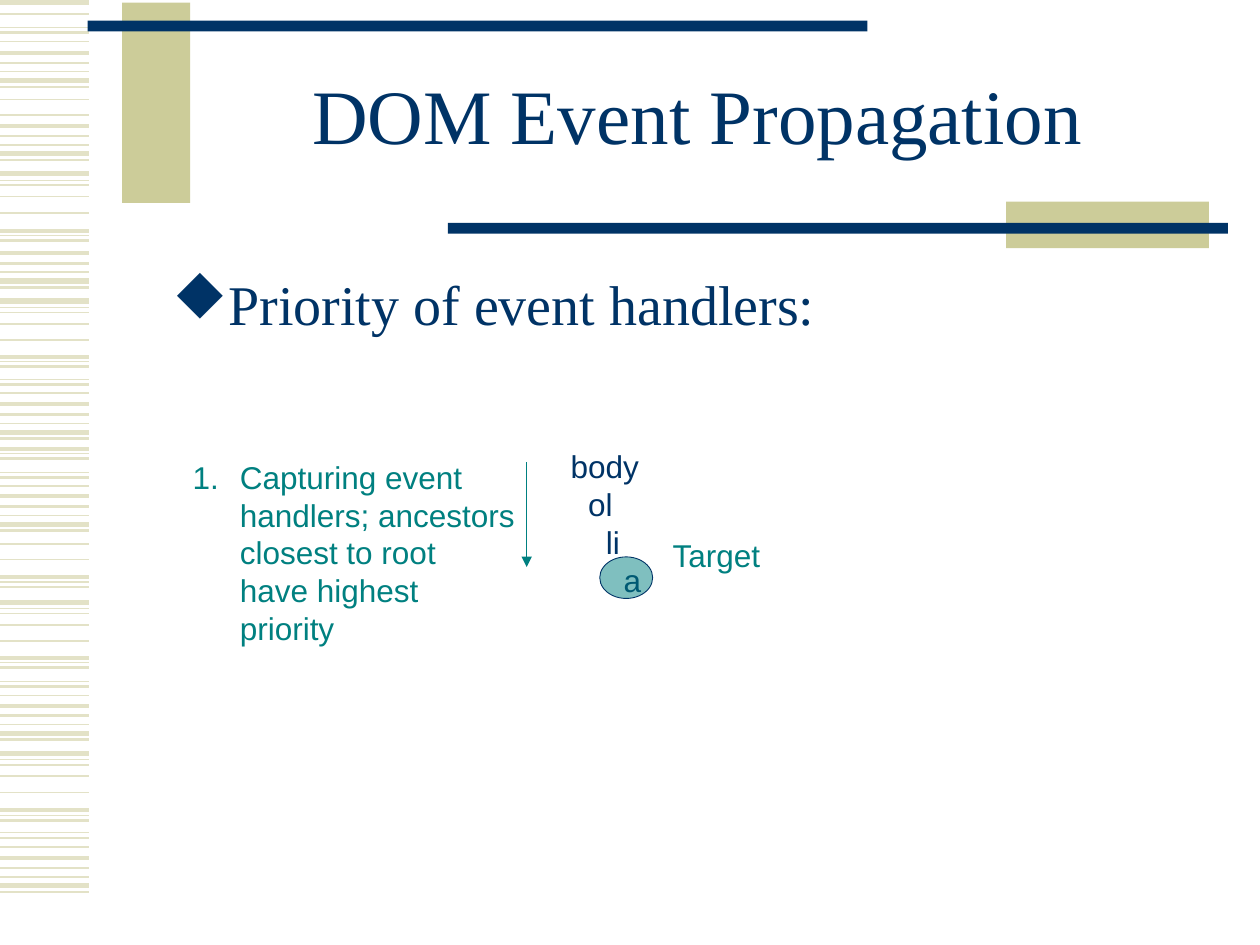
from typing import NamedTuple

from lxml.etree import SubElement
from pptx import Presentation
from pptx.dml.color import RGBColor
from pptx.enum.shapes import MSO_CONNECTOR as Connector, MSO_SHAPE as Shape
from pptx.enum.text import MSO_ANCHOR as Anchor, MSO_AUTO_SIZE as AutoSize, PP_ALIGN as Align
from pptx.oxml.ns import qn
from pptx.util import Inches, Pt

NAVY = RGBColor(0x00, 0x33, 0x66)
TEAL = RGBColor(0x00, 0x80, 0x80)
KHAKI = RGBColor(0xCC, 0xCC, 0x99)
PALE_KHAKI = RGBColor(0xE3, 0xE2, 0xC7)
SERIF, SANS, SYMBOLS = "Times New Roman", "Arial", "Wingdings"
DIAMOND = "u"  # a filled diamond in the symbol font

SLIDE_WIDTH, SLIDE_HEIGHT = Inches(10), Inches(7.5)
COLUMNS, ROWS = 100, 75
STRIPE_END = 7.1
NESTING_STEP = 1.4


class Area(NamedTuple):
    """Left, top, width and height in grid columns and rows."""
    left: float
    top: float
    width: float
    height: float


class Bar(NamedTuple):
    area: Area
    color: RGBColor


class Stripe(NamedTuple):
    offset: float
    weight: float


class StripeGroup(NamedTuple):
    """Stripes repeated at several starting rows."""
    stripes: tuple[Stripe, ...]
    starts: tuple[float, ...]


STRIPE_GROUPS = (
    StripeGroup((Stripe(0, 3), Stripe(0.9, 1.5)), (0.2,)),
    StripeGroup((Stripe(0, 2.25), Stripe(0.8, 1.5), Stripe(1.5, 0.75),
                 Stripe(2.2, 3), Stripe(2.7, 1.5)),
                (4.2, 10, 20.1, 32.1, 39.4, 56, 68.1)),
    StripeGroup((Stripe(0, 3), Stripe(0.5, 0.75), Stripe(0.9, 1),
                 Stripe(1.8, 1), Stripe(3.1, 1)),
                (13.8, 23.9, 47.8, 59.8)),
    StripeGroup((Stripe(0, 2.25), Stripe(0.4, 0.75), Stripe(0.8, 1.5)),
                (18.3, 28.3, 35.6, 45.8, 52.2, 64.3)),
    StripeGroup((Stripe(0, 0.75), Stripe(0.4, 1.5), Stripe(1.1, 1)),
                (2.2, 30.1, 37.5, 54.1, 66.1)),
    StripeGroup((Stripe(0, 1), Stripe(1.2, 1)), (7.9, 43.2)),
)

BARS = (
    Bar(Area(9.7, 0.2, 5.4, 15.9), KHAKI),
    Bar(Area(6.95, 1.65, 61.9, 0.85), NAVY),
    Bar(Area(79.85, 16, 16.1, 3.7), KHAKI),
    Bar(Area(35.55, 17.7, 61.9, 0.85), NAVY),
)


def across(columns: float) -> int:
    return round(SLIDE_WIDTH * columns / COLUMNS)


def down(rows: float) -> int:
    return round(SLIDE_HEIGHT * rows / ROWS)


def place(area: Area) -> tuple[int, int, int, int]:
    return across(area.left), down(area.top), across(area.width), down(area.height)


def add_line(slide, start: tuple[float, float], end: tuple[float, float],
             color: RGBColor, weight: float, arrow: bool = False) -> None:
    line = slide.shapes.add_connector(
        Connector.STRAIGHT, across(start[0]), down(start[1]), across(end[0]), down(end[1]))
    line.line.color.rgb = color
    line.line.width = Pt(weight)
    properties = line._element.spPr
    if arrow:
        SubElement(properties.find(qn("a:ln")), qn("a:tailEnd"), type="triangle")
    SubElement(properties, qn("a:effectLst"))


def add_filled(slide, kind: Shape, area: Area, fill: RGBColor,
               outline: RGBColor | None = None, opacity: int = 100) -> None:
    shape = slide.shapes.add_shape(kind, *place(area))
    shape.shadow.inherit = False
    shape.fill.solid()
    shape.fill.fore_color.rgb = fill
    if opacity < 100:
        color = shape._element.spPr.find(qn("a:solidFill"))[0]
        SubElement(color, qn("a:alpha"), val=str(opacity * 1000))
    if outline is None:
        shape.line.fill.background()
    else:
        shape.line.color.rgb = outline
        shape.line.width = Pt(0.5)


def add_bullet(paragraph, color: RGBColor, margin: float, indent: float,
               char: str | None = None) -> None:
    """Mark a paragraph with a symbol, or number it when none is given."""
    properties = paragraph._p.get_or_add_pPr()
    properties.set("marL", str(across(margin)))
    properties.set("indent", str(across(indent)))
    bullet_color = SubElement(properties, qn("a:buClr"))
    SubElement(bullet_color, qn("a:srgbClr"), val=str(color))
    if char:
        SubElement(properties, qn("a:buFont"), typeface=SYMBOLS, charset="2")
        SubElement(properties, qn("a:buChar"), char=char)
    else:
        SubElement(properties, qn("a:buAutoNum"), type="arabicPeriod")


def add_text(slide, area: Area, *lines: str, size: float = 18, font: str = SANS,
             color: RGBColor = NAVY, align: Align = Align.LEFT,
             anchor: Anchor = Anchor.TOP, wrap: bool = False,
             spacing: float | None = None, step: float = 0):
    """Add one paragraph per line, each set in by one more step; return the frame."""
    frame = slide.shapes.add_textbox(*place(area)).text_frame
    frame.word_wrap = wrap
    frame.auto_size = AutoSize.NONE if wrap else AutoSize.SHAPE_TO_FIT_TEXT
    frame.vertical_anchor = anchor
    for depth, line in enumerate(lines):
        paragraph = frame.add_paragraph() if depth else frame.paragraphs[0]
        paragraph.text = line
        paragraph.alignment = align
        if spacing:
            paragraph.line_spacing = spacing
        if depth and step:
            paragraph._p.get_or_add_pPr().set("marL", str(across(depth * step)))
        for run in paragraph.runs:
            run.font.size = Pt(size)
            run.font.name = font
            run.font.color.rgb = color
    return frame


def draw_background(slide) -> None:
    for group in STRIPE_GROUPS:
        for start in group.starts:
            for stripe in group.stripes:
                row = start + stripe.offset
                add_line(slide, (0, row), (STRIPE_END, row), PALE_KHAKI, stripe.weight)
    for bar in BARS:
        add_filled(slide, Shape.RECTANGLE, bar.area, bar.color)


def draw_content(slide) -> None:
    add_text(slide, Area(15, 3.35, 80.7, 12.5), "DOM Event Propagation", size=44, font=SERIF,
             align=Align.CENTER, anchor=Anchor.MIDDLE, wrap=True, spacing=0.85)
    heading = add_text(slide, Area(8.9, 20.9, 87, 42.4), "Priority of event handlers:",
                       size=32, font=SERIF, wrap=True)
    add_bullet(heading.paragraphs[0], NAVY, margin=1.3, indent=2.5, char=DIAMOND)

    add_text(slide, Area(44.3, 35, 7.5, 13), "body", "ol", "li", "a", step=NESTING_STEP)
    rule = add_text(
        slide, Area(14.3, 35.85, 29, 16),
        "Capturing event\vhandlers; ancestors\vclosest to root\vhave highest\vpriority",
        color=TEAL, wrap=True)
    add_bullet(rule.paragraphs[0], TEAL, margin=3.75, indent=-3.75)
    add_line(slide, (41.8, 36.7), (41.8, 45), TEAL, 0.5, arrow=True)
    add_filled(slide, Shape.OVAL, Area(47.6, 44.2, 4.2, 3.3), TEAL, outline=NAVY, opacity=50)
    add_text(slide, Area(52.4, 42.05, 9.2, 4), "Target", color=TEAL)


def main() -> None:
    deck = Presentation()
    deck.slide_width, deck.slide_height = SLIDE_WIDTH, SLIDE_HEIGHT
    slide = deck.slides.add_slide(deck.slide_layouts[6])
    draw_background(slide)
    draw_content(slide)
    deck.save("out.pptx")


if __name__ == "__main__":
    main()
